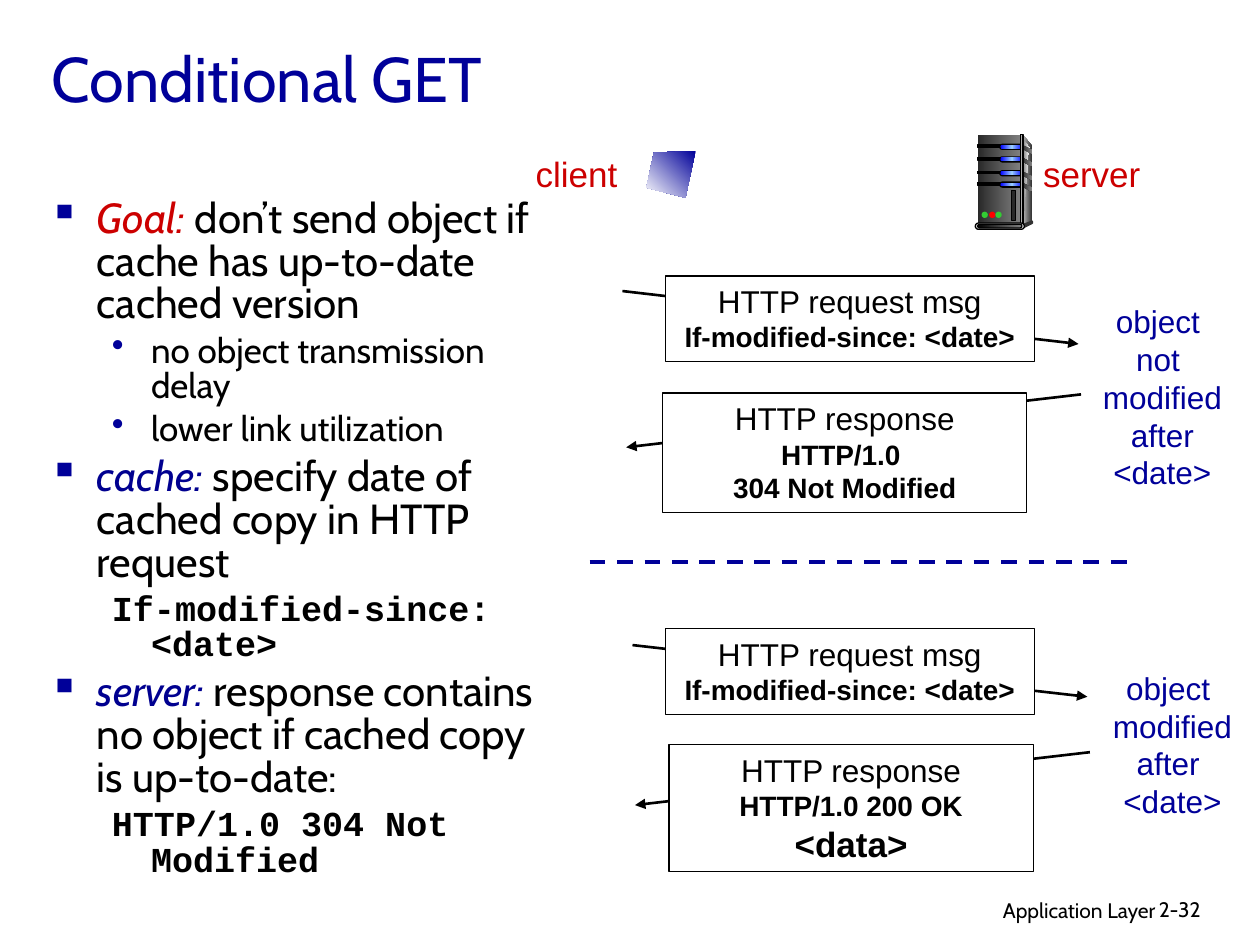
from dataclasses import dataclass
from typing import Optional

from lxml.etree import SubElement
from pptx import Presentation
from pptx.dml.color import RGBColor
from pptx.enum.dml import MSO_LINE
from pptx.enum.shapes import MSO_CONNECTOR, MSO_SHAPE
from pptx.enum.text import MSO_ANCHOR, PP_ALIGN
from pptx.oxml.ns import qn
from pptx.util import Pt

PX = 9144  # EMU per px, 100 px to the inch


@dataclass(frozen=True)
class Theme:
    navy: str = "000099"
    term: str = "000090"
    red: str = "CC0000"
    black: str = "000000"
    white: str = "FFFFFF"
    dark: str = "333333"
    light: str = "DDDDDD"
    green: str = "33CC33"
    led_red: str = "FF0000"
    metal: tuple = ("292929", "808080")
    glare: tuple = ("808080", "F8F8F8")
    pill: tuple = ("0000FF", "99CCFF", "0000FF")
    display: str = "Cabin"
    sans: str = "Arial"
    mono: str = "Courier New"
    title: int = 36
    body: int = 24
    sub: int = 20
    label: int = 18
    header: int = 16
    footer: int = 12


T = Theme()


@dataclass(frozen=True)
class Point:
    text: str
    lead: str = ""
    lead_color: str = T.term
    level: int = 0
    code: bool = False


@dataclass(frozen=True)
class Message:
    box: tuple
    arrow: tuple
    lines: tuple  # (text, size) pairs, the first one plain and the rest bold


@dataclass(frozen=True)
class Label:
    box: tuple
    lines: tuple
    color: str
    size: int


POINTS = (
    Point(" don’t send object if cache has up-to-date cached version", "Goal:", T.red),
    Point("no object transmission delay", level=1),
    Point("lower link utilization", level=1),
    Point("specify date of cached copy in HTTP request", "cache: "),
    Point("If-modified-since: <date>", level=1, code=True),
    Point("response contains no object if cached copy is up-to-date:", "server: "),
    Point("HTTP/1.0 304 Not Modified", level=1, code=True),
)
REQUEST = (("HTTP request msg", T.label), ("If-modified-since: <date>", T.header))
MESSAGES = (
    Message((528, 219, 293, 68), (494, 231, 856, 273), REQUEST),
    Message((526, 312, 289, 95), (858, 313, 497, 355),
            (("HTTP response", T.label), ("HTTP/1.0 ", T.header),
             ("304 Not Modified", T.header))),
    Message((528, 499, 293, 68), (502, 512, 863, 553), REQUEST),
    Message((531, 591, 289, 101), (865, 597, 504, 639),
            (("HTTP response", T.label), ("HTTP/1.0 200 OK", T.header),
             ("<data>", T.sub))),
)
LABELS = (
    Label((865, 235, 115, 160), ("object ", "not ", "modified", "after", "<date>"),
          T.navy, T.label),
    Label((873, 526, 115, 130), ("object ", "modified", "after ", "<date>"),
          T.navy, T.label),
    Label((415, 116, 85, 43), ("client",), T.red, T.sub),
    Label((818, 116, 97, 43), ("server",), T.red, T.sub),
)


def px(values: tuple) -> list:
    return [v * PX for v in values]


def add_text(p, text: str, *, size: int, font: str = T.sans, color: str = T.black,
             bold: bool = False, italic: bool = False) -> None:
    r = p.add_run()
    r.text = text
    f = r.font
    f.size, f.name, f.bold, f.italic = Pt(size), font, bold, italic
    f.color.rgb = RGBColor.from_string(color)


def paragraph(tf, index: int):
    return tf.add_paragraph() if index else tf.paragraphs[0]


def text_frame(shapes, box: tuple, wrap: bool = True):
    tf = shapes.add_textbox(*px(box)).text_frame
    tf.word_wrap = wrap
    return tf


def paint(s, fill, line: bool = False, angle: int = 0) -> None:
    """Fill with one colour, or with a gradient when given a tuple of them."""
    s.shadow.inherit = False
    if isinstance(fill, str):
        s.fill.solid()
        s.fill.fore_color.rgb = RGBColor.from_string(fill)
    else:
        s.fill.gradient()
        s.fill.gradient_angle = angle
        stops = s._element.spPr.find(qn("a:gradFill")).find(qn("a:gsLst"))
        for old in list(stops):
            stops.remove(old)
        for i, color in enumerate(fill):
            stop = SubElement(stops, qn("a:gs"), pos=str(i * 100000 // (len(fill) - 1)))
            SubElement(stop, qn("a:srgbClr"), val=color)
    if line:
        s.line.width = Pt(0.75)
        s.line.color.rgb = RGBColor.from_string(T.black)
    else:
        s.line.fill.background()


def add_preset(shapes, kind, box: tuple, fill, line: bool = False):
    s = shapes.add_shape(kind, *px(box))
    if kind == MSO_SHAPE.ROUNDED_RECTANGLE:
        s.adjustments[0] = 0.5
    paint(s, fill, line)
    return s


def add_polygon(shapes, points: tuple, fill, angle: int = 0) -> None:
    builder = shapes.build_freeform(*points[0], scale=float(PX))
    builder.add_line_segments(points[1:], close=True)
    paint(builder.convert_to_shape(), fill, angle=angle)


def add_line(shapes, ends: tuple, color: str, width: float,
             dash: Optional[MSO_LINE] = None, arrow: bool = False) -> None:
    c = shapes.add_connector(MSO_CONNECTOR.STRAIGHT, *px(ends))
    c.line.width = Pt(width)
    c.line.color.rgb = RGBColor.from_string(color)
    if dash:
        c.line.dash_style = dash
    if arrow:
        SubElement(c.line._get_or_add_ln(), qn("a:tailEnd"), type="triangle")
    SubElement(c._element.spPr, qn("a:effectLst"))


def add_points(shapes) -> None:
    tf = text_frame(shapes, (29, 153, 409, 561))
    for i, point in enumerate(POINTS):
        p = paragraph(tf, i)
        size = T.sub if point.level else T.body
        margin, hang = (81, 31) if point.level else (38, 38)
        p.level = point.level
        p.line_spacing = 0.85
        p.space_before = Pt(size * 0.2 if i else 0)
        pPr = p._p.get_or_add_pPr()
        pPr.set("marL", str(margin * PX))
        pPr.set("indent", str(-hang * PX))
        if point.code:
            SubElement(pPr, qn("a:buNone"))
        else:
            SubElement(SubElement(pPr, qn("a:buClr")), qn("a:srgbClr"), val=T.navy)
            SubElement(pPr, qn("a:buChar"), char="•" if point.level else "▪")
        if point.lead:
            add_text(p, point.lead, size=size, font=T.display,
                     color=point.lead_color, italic=True)
        add_text(p, point.text, size=size, bold=point.code,
                 font=T.mono if point.code else T.display)


def add_message(shapes, message: Message) -> None:
    add_line(shapes, message.arrow, T.black, 1.5, arrow=True)
    s = add_preset(shapes, MSO_SHAPE.RECTANGLE, message.box, T.white, line=True)
    tf = s.text_frame
    tf.vertical_anchor = MSO_ANCHOR.TOP
    for i, (text, size) in enumerate(message.lines):
        p = paragraph(tf, i)
        p.alignment = PP_ALIGN.CENTER
        add_text(p, text, size=size, bold=i > 0)


def add_label(shapes, label: Label) -> None:
    tf = text_frame(shapes, label.box, wrap=False)
    for i, text in enumerate(label.lines):
        p = paragraph(tf, i)
        p.alignment = PP_ALIGN.CENTER
        add_text(p, text, size=label.size, color=label.color)


def add_server(shapes) -> None:
    g = shapes.add_group_shape().shapes
    rect, pill, dot = MSO_SHAPE.RECTANGLE, MSO_SHAPE.ROUNDED_RECTANGLE, MSO_SHAPE.OVAL
    add_polygon(g, ((812, 107), (819, 116), (819, 176), (810, 179)), (T.light, T.dark))
    add_preset(g, rect, (776, 107, 34, 72), T.metal)
    add_polygon(g, ((812, 111), (817, 117), (814, 150), (812, 177)), T.glare)
    for y in (115, 125, 136, 145):
        add_polygon(g, ((811, y), (819, y + 4), (819, y + 7), (811, y + 3)), T.metal)
        add_preset(g, rect, (776, y, 19, 2), T.black, line=True)
        add_preset(g, pill, (793, y - 1, 19, 5), T.black)
        add_preset(g, pill, (794, y, 18, 3), T.pill)
    add_preset(g, rect, (810, 107, 2, 72), (T.dark, T.light, T.dark), line=True)
    add_preset(g, dot, (818, 175, 2, 3), T.dark)
    add_polygon(g, ((811, 178), (811, 182), (819, 178), (819, 175)), T.dark)
    add_preset(g, pill, (774, 177, 39, 5), T.light, line=True)
    add_preset(g, pill, (776, 178, 35, 3), (T.black, "808080"), line=True)
    for x, color in ((779, T.green), (785, T.led_red), (790, T.green)):
        add_preset(g, dot, (x, 168, 5, 5), color)
    add_preset(g, rect, (803, 151, 3, 24), T.metal[0], line=True)


def main() -> None:
    prs = Presentation()
    prs.slide_width, prs.slide_height = px((1000, 750))
    slide = prs.slides.add_slide(prs.slide_layouts[5])
    shapes = slide.shapes

    title = shapes.title
    title.left, title.top, title.width, title.height = px((31, 21, 871, 81))
    title.text_frame.vertical_anchor = MSO_ANCHOR.MIDDLE
    p = title.text_frame.paragraphs[0]
    p.alignment = PP_ALIGN.LEFT
    add_text(p, "Conditional GET", size=T.title, font=T.display, color=T.navy)

    for box, text, align in (((610, 707, 317, 31), "Application Layer", PP_ALIGN.RIGHT),
                             ((910, 707, 74, 30), "2-32", PP_ALIGN.LEFT)):
        p = text_frame(shapes, box).paragraphs[0]
        p.alignment = align
        add_text(p, text, size=T.footer, font=T.display)

    add_points(shapes)
    for message in MESSAGES:
        add_message(shapes, message)
    add_line(shapes, (468, 446, 895, 446), T.navy, 2.25, dash=MSO_LINE.DASH)
    for label in LABELS:
        add_label(shapes, label)
    add_server(shapes)
    add_polygon(shapes, ((552, 120), (519, 121), (513, 149), (544, 157)),
                (T.navy, T.white), angle=225)
    prs.save("out.pptx")


if __name__ == "__main__":
    main()
